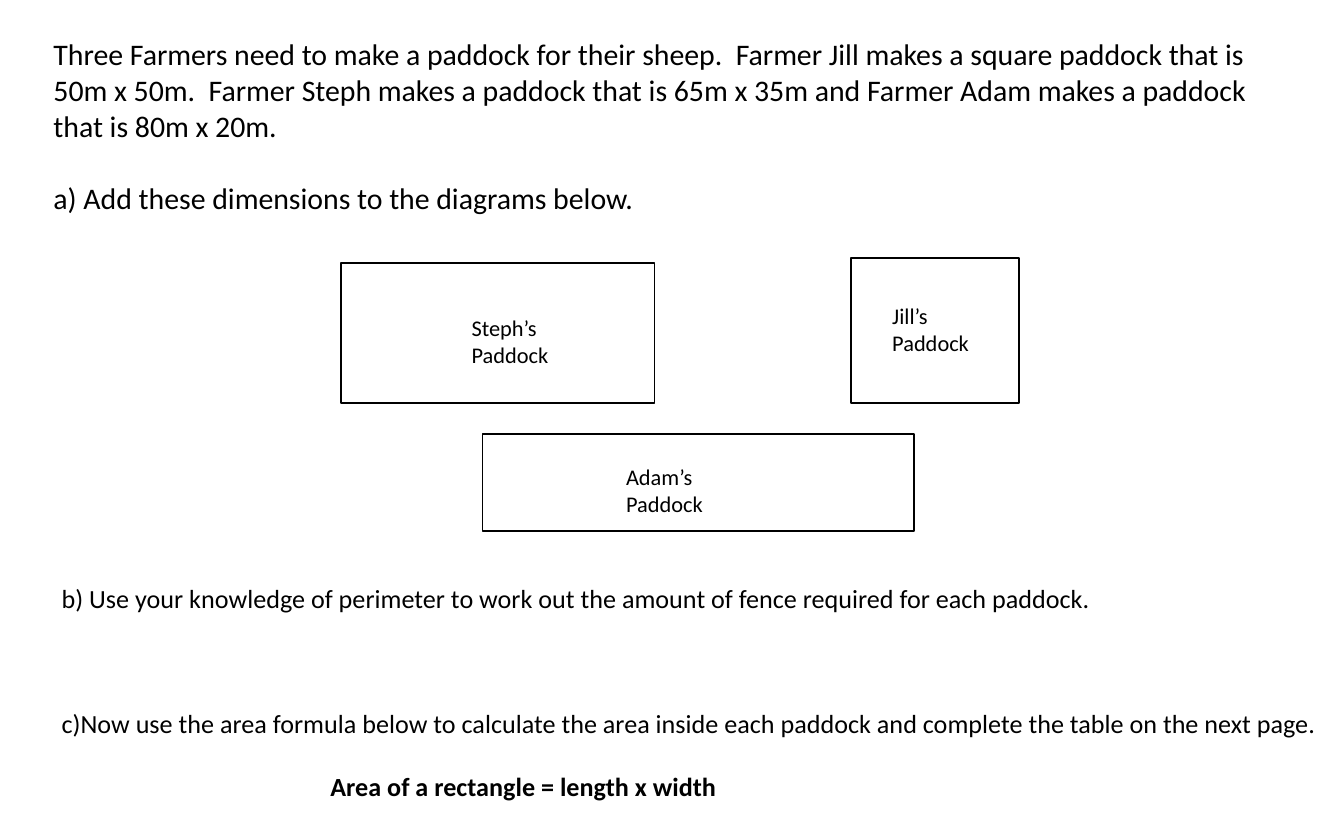
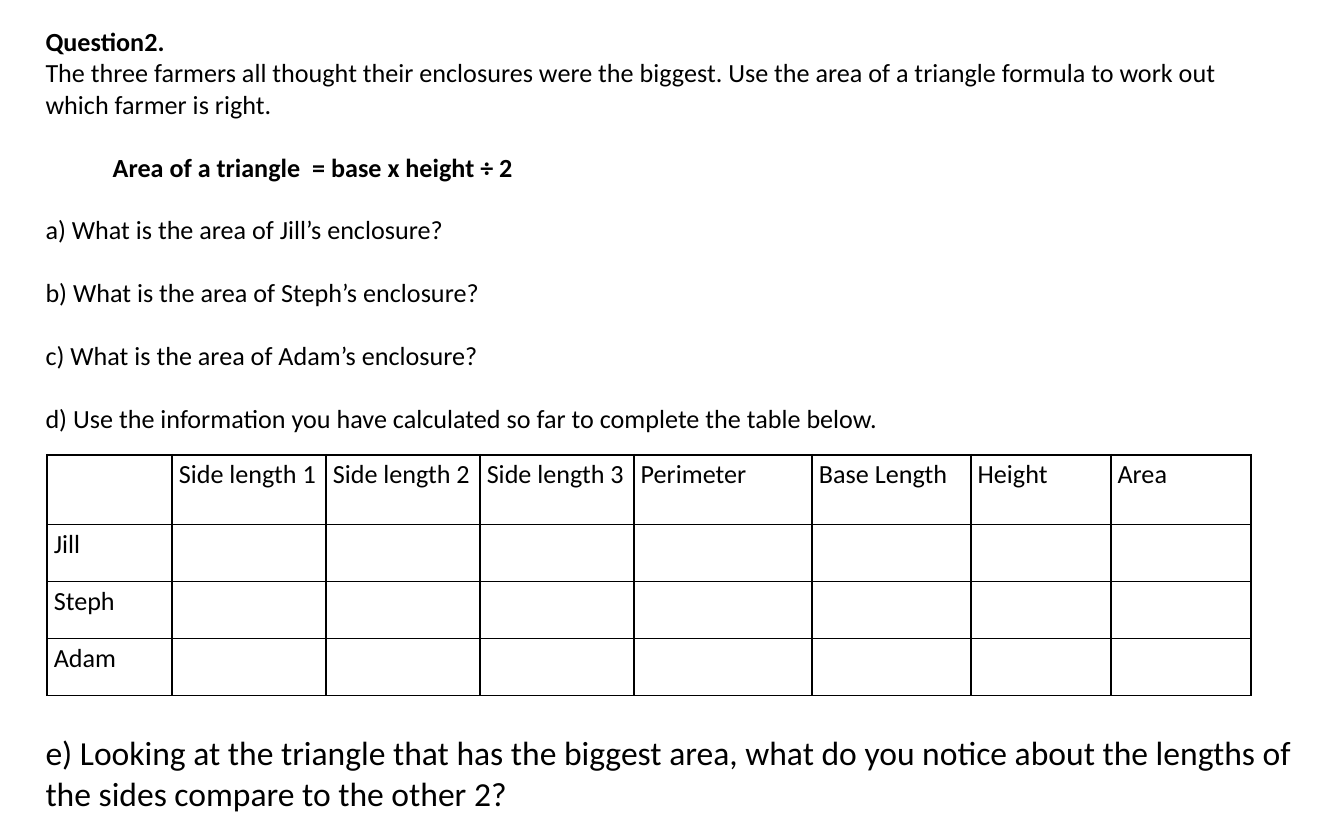
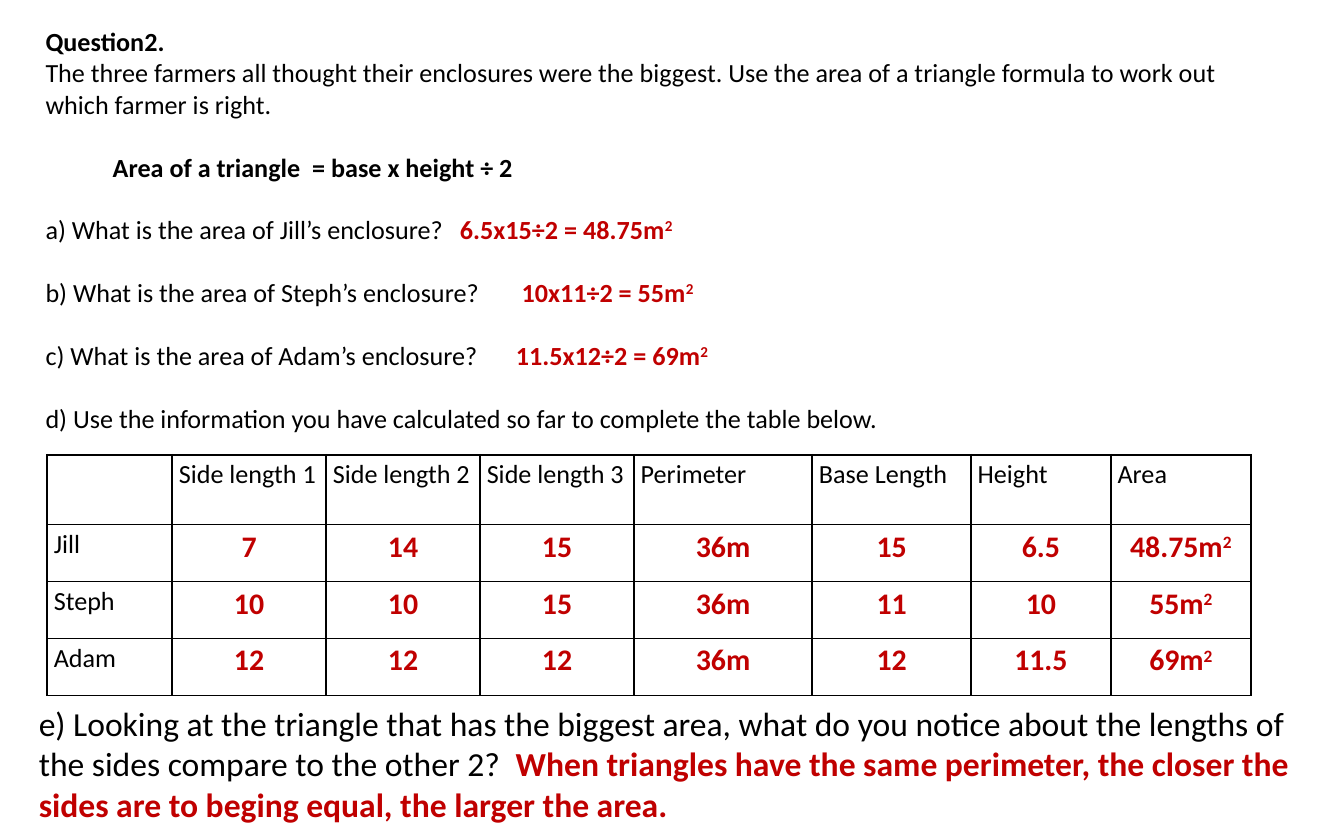
"""Build three worksheet slides on paddock areas and perimeters."""
from dataclasses import dataclass
from typing import Optional

from lxml import etree
from pptx import Presentation
from pptx.dml.color import RGBColor
from pptx.enum import shapes, text
from pptx.oxml import ns
from pptx.util import Pt

BLACK = RGBColor(0x00, 0x00, 0x00)
ANSWER_RED = RGBColor(0xC0, 0x00, 0x00)
FONT = "Calibri"
BLANK_LAYOUT = 6
BODY_SIZE = 14
BODY_GAP = 16.8
INTRO_GAP = 19.3

COLUMN_WIDTHS = (67, 82.5, 82.5, 82.5, 95.5, 85, 75, 75)
ROW_HEIGHTS = (37.5, 30.5, 30.5, 30.5)
HEADINGS = ("", "Side length 1", "Side length 2", "Side length 3",
            "Perimeter", "Base Length", "Height", "Area")


@dataclass(frozen=True)
class Span:
    """A stretch of text in one style."""
    words: str
    bold: bool = False
    color: RGBColor = BLACK
    raised: bool = False


@dataclass(frozen=True)
class Para:
    """A paragraph with its spacing and indent."""
    spans: tuple[Span, ...]
    before: float = 0
    indent: float = 0
    tab: Optional[float] = None
    centred: bool = False


@dataclass(frozen=True)
class Area:
    """A rectangle on the page."""
    left: float
    top: float
    width: float
    height: float

    def lengths(self) -> tuple:
        """Return the four lengths in order."""
        return tuple(Pt(n) for n in (self.left, self.top, self.width, self.height))


@dataclass(frozen=True)
class Paddock:
    """A paddock outline and the place of its label."""
    farmer: str
    outline: Area
    label: Area


@dataclass(frozen=True)
class Enclosure:
    """A farmer's triangle with its worked answers."""
    farmer: str
    letter: str
    working: str
    tab: float
    measures: tuple[str, ...]
    area: str


PADDOCKS = (
    Paddock("Jill", Area(455.8, 138.2, 90, 77.8), Area(470.9, 158.4, 59, 36)),
    Paddock("Steph", Area(182.9, 141.1, 167.8, 74.9), Area(245.5, 164.9, 82.8, 36)),
    Paddock("Adam", Area(258.5, 232.6, 231.1, 51.8), Area(328.3, 244.8, 82.8, 36)),
)
ENCLOSURES = (
    Enclosure("Jill", "a", "6.5x15÷2 = ", 222,
              ("7", "14", "15", "36m", "15", "6.5"), "48.75"),
    Enclosure("Steph", "b", "10x11÷2 = ", 255,
              ("10", "10", "15", "36m", "11", "10"), "55"),
    Enclosure("Adam", "c", "11.5x12÷2 = ", 252,
              ("12", "12", "12", "36m", "12", "11.5"), "69"),
)


def plain(words: str, before: float = 0) -> Para:
    """Make a paragraph of regular black text."""
    return Para((Span(words),), before)


def answer(words: str) -> Span:
    """Make a bold red span."""
    return Span(words, True, ANSWER_RED)


def square_metres(words: str) -> tuple[Span, Span]:
    """Make an answer that ends in square metres."""
    return answer(words + "m"), Span("2", True, ANSWER_RED, True)


def write(frame, paras: list[Para], size: float) -> None:
    """Write paragraphs into a text frame run by run."""
    for index, item in enumerate(paras):
        para = frame.paragraphs[0] if index == 0 else frame.add_paragraph()
        properties = para._p.get_or_add_pPr()
        if item.tab:
            stops = etree.SubElement(properties, ns.qn("a:tabLst"))
            etree.SubElement(stops, ns.qn("a:tab"), pos=str(Pt(item.tab)), algn="l")
        if item.indent:
            properties.set("marL", str(Pt(item.indent)))
        if item.before:
            para.space_before = Pt(item.before)
        if item.centred:
            para.alignment = text.PP_ALIGN.CENTER
        for part in item.spans:
            span = para.add_run()
            span.text = part.words
            span.font.name = FONT
            span.font.size = Pt(size)
            span.font.bold = part.bold
            span.font.color.rgb = part.color
            if part.raised:
                span._r.get_or_add_rPr().set("baseline", "30000")


def add_text(page, area: Area, paras: list[Para], size: float = BODY_SIZE) -> None:
    """Add a wrapping text box that grows with its text."""
    frame = page.shapes.add_textbox(*area.lengths()).text_frame
    frame.word_wrap = True
    frame.auto_size = text.MSO_AUTO_SIZE.SHAPE_TO_FIT_TEXT
    write(frame, paras, size)


def add_paddock(page, paddock: Paddock) -> None:
    """Draw a paddock outline with its label."""
    box = page.shapes.add_shape(shapes.MSO_SHAPE.RECTANGLE, *paddock.outline.lengths())
    box.shadow.inherit = False
    box.fill.background()
    box.line.color.rgb = BLACK
    box.line.width = Pt(1)
    add_text(page, paddock.label, [plain(f"{paddock.farmer}’s Paddock")], 12)


def style_cell(cell) -> None:
    """Give a cell thin black borders, small margins and no fill."""
    cell.margin_left = cell.margin_right = Pt(3.6)
    cell.margin_top = cell.margin_bottom = Pt(2.2)
    properties = cell._tc.get_or_add_tcPr()
    for side in ("lnL", "lnR", "lnT", "lnB"):
        border = etree.SubElement(properties, ns.qn(f"a:{side}"), w=str(Pt(1)))
        fill = etree.SubElement(border, ns.qn("a:solidFill"))
        etree.SubElement(fill, ns.qn("a:srgbClr"), val=str(BLACK))
    cell.fill.background()


def add_measures_table(page, solved: bool) -> None:
    """Add the table of measures, filled in when solved."""
    area = Area(25.2, 243.6, sum(COLUMN_WIDTHS), sum(ROW_HEIGHTS))
    table = page.shapes.add_table(
        len(ROW_HEIGHTS), len(COLUMN_WIDTHS), *area.lengths()).table
    table.first_row = table.horz_banding = False
    for column, width in zip(table.columns, COLUMN_WIDTHS):
        column.width = Pt(width)
    for row, height in zip(table.rows, ROW_HEIGHTS):
        row.height = Pt(height)
    for cell in table.iter_cells():
        style_cell(cell)
    for column, heading in enumerate(HEADINGS):
        if heading:
            write(table.cell(0, column).text_frame, [plain(heading)], BODY_SIZE)
    for row, enclosure in enumerate(ENCLOSURES, 1):
        write(table.cell(row, 0).text_frame, [plain(enclosure.farmer)], BODY_SIZE)
        if solved:
            values = [(answer(measure),) for measure in enclosure.measures]
            values.append(square_metres(enclosure.area))
            for column, spans in enumerate(values, 1):
                write(table.cell(row, column).text_frame,
                      [Para(spans, centred=True)], 16)


def area_question(enclosure: Enclosure, solved: bool) -> Para:
    """Ask for the area of one enclosure, with the working when solved."""
    question = f"{enclosure.letter}) What is the area of {enclosure.farmer}’s enclosure?"
    if not solved:
        return plain(question, BODY_GAP)
    working = square_metres(enclosure.working + enclosure.area)
    return Para((Span(question + "\t"), *working), BODY_GAP, tab=enclosure.tab)


def add_paddock_slide(deck) -> None:
    """Add the slide on rectangular paddocks."""
    page = deck.slides.add_slide(deck.slide_layouts[BLANK_LAYOUT])
    add_text(page, Area(21.6, 15.8, 676.8, 104.4), [
        plain("Three Farmers need to make a paddock for their sheep.  Farmer Jill makes "
              "a square paddock that is 50m x 50m.  Farmer Steph makes a paddock that is "
              "65m x 35m and Farmer Adam makes a paddock that is 80m x 20m."),
        plain("a) Add these dimensions to the diagrams below.", INTRO_GAP),
    ], 16)
    for paddock in PADDOCKS:
        add_paddock(page, paddock)
    add_text(page, Area(25.9, 308.2, 687.6, 126), [
        plain("b) Use your knowledge of perimeter to work out the amount of fence "
              "required for each paddock."),
        plain("c)Now use the area formula below to calculate the area inside each "
              "paddock and complete the table on the next page.", 3 * BODY_GAP),
        Para((Span("Area of a rectangle = length x width", True),), BODY_GAP, 144),
    ])


def add_triangle_slide(deck, solved: bool, closing: Area) -> None:
    """Add the slide on triangular enclosures, with answers when solved."""
    page = deck.slides.add_slide(deck.slide_layouts[BLANK_LAYOUT])
    add_text(page, Area(17.3, 10.1, 677.5, 244.8), [
        Para((Span("Question2.", True),)),
        plain("The three farmers all thought their enclosures were the biggest. Use the "
              "area of a triangle formula to work out which farmer is right."),
        Para((Span("Area of a triangle  = base x height ÷ 2", True),), BODY_GAP, 36),
        *(area_question(enclosure, solved) for enclosure in ENCLOSURES),
        plain("d) Use the information you have calculated so far to complete the table "
              "below.", BODY_GAP),
    ])
    add_measures_table(page, solved)
    question = ("e) Looking at the triangle that has the biggest area, what do you notice "
                "about the lengths of the sides compare to the other 2?")
    spans = (Span(question),)
    if solved:
        spans = (Span(question + "  "),
                 answer("When triangles have the same perimeter, the closer the sides "
                        "are to beging equal, the larger the area."))
    add_text(page, closing, [Para(spans)], 18)


def main() -> None:
    """Build and save the deck."""
    deck = Presentation()
    deck.slide_width, deck.slide_height = Pt(720), Pt(450)
    add_paddock_slide(deck)
    add_triangle_slide(deck, False, Area(17.3, 388.8, 692.6, 51))
    add_triangle_slide(deck, True, Area(13.7, 373, 692.6, 72.7))
    deck.save("out.pptx")


if __name__ == "__main__":
    main()
